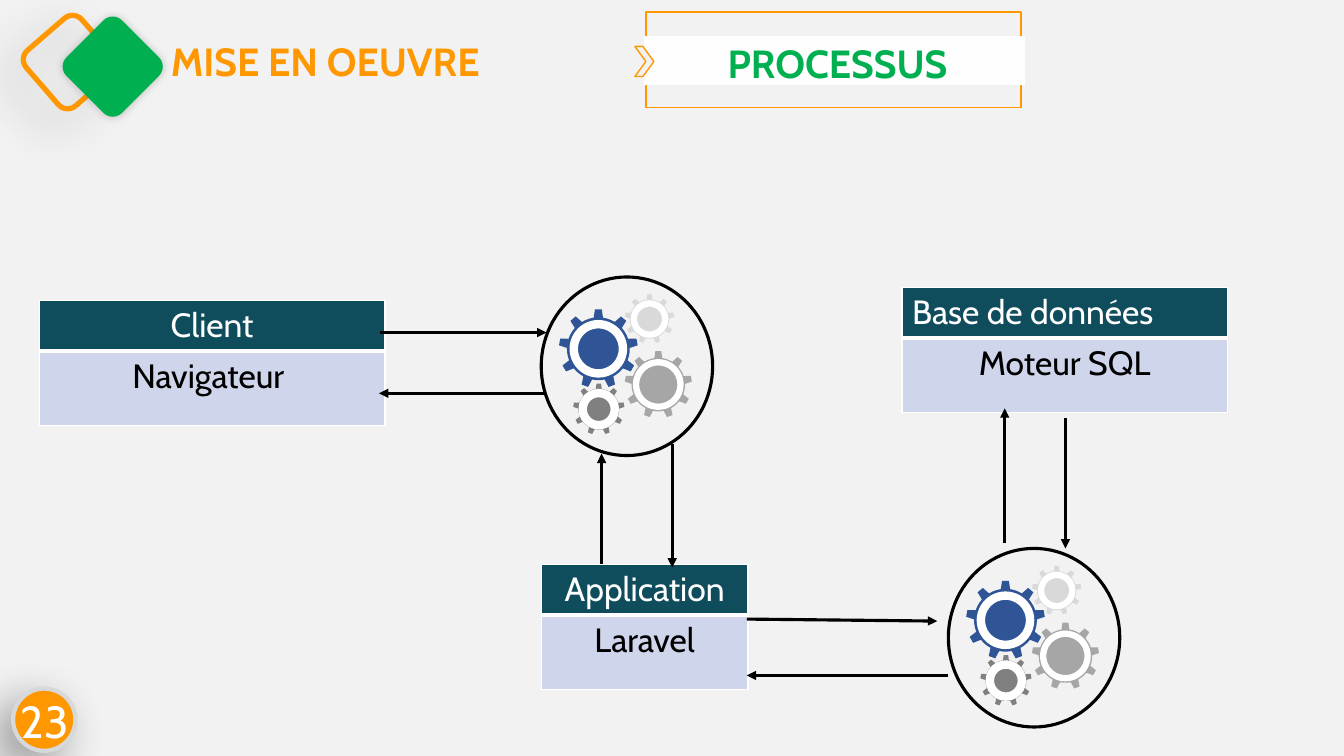
from dataclasses import dataclass
from math import cos, radians, sin

from lxml.etree import SubElement
from pptx import Presentation
from pptx.dml.color import RGBColor
from pptx.enum.shapes import MSO_CONNECTOR, MSO_SHAPE
from pptx.enum.text import PP_ALIGN
from pptx.oxml.ns import qn
from pptx.shapes.autoshape import Shape
from pptx.slide import Slide
from pptx.table import _Cell
from pptx.text.text import TextFrame
from pptx.util import Cm, Pt

BACKGROUND = RGBColor(0xF2, 0xF2, 0xF2)
ORANGE = RGBColor(0xFF, 0x98, 0x00)
GREEN = RGBColor(0x00, 0xB0, 0x50)
WHITE = RGBColor(0xFF, 0xFF, 0xFF)
BANNER_WHITE = RGBColor(0xFE, 0xFE, 0xFE)
BLACK = RGBColor(0x00, 0x00, 0x00)
BADGE_EDGE = RGBColor(0xD7, 0xD8, 0xDA)
TEAL = RGBColor(0x0F, 0x4C, 0x5C)
LAVENDER = RGBColor(0xCF, 0xD5, 0xEA)
BLUE = RGBColor(0x2F, 0x55, 0x97)
GREY = RGBColor(0xA6, 0xA6, 0xA6)
DARK_GREY = RGBColor(0x80, 0x80, 0x80)
LIGHT_GREY = RGBColor(0xD9, 0xD9, 0xD9)

FONT = "Cabin"
HEADER_HEIGHT, BODY_HEIGHT = 1.26, 1.88
RING_WIDTH, RING_HEIGHT = 4.32, 4.5
TEETH = 9
TIP_RATIO, ROOT_RATIO = 0.98, 0.78


@dataclass(frozen=True)
class Shadow:
    opacity: int
    blur: float
    distance: float
    direction: int


@dataclass(frozen=True)
class Gear:
    dx: float
    dy: float
    diameter: float
    hub: float
    hub_line: float
    color: RGBColor


@dataclass(frozen=True)
class Component:
    left: float
    top: float
    width: float
    title: str
    technology: str
    title_align: PP_ALIGN = PP_ALIGN.CENTER


@dataclass(frozen=True)
class Arrow:
    x1: float
    y1: float
    x2: float
    y2: float


DEEP_SHADOW = Shadow(40, 35, 15, 135)
SOFT_SHADOW = Shadow(20, 6, 0, 225)

GEARS = [
    Gear(-0.72, -0.44, 2.03, 1.24, 6, BLUE),
    Gear(0.79, 0.46, 1.73, 1.12, 4.5, GREY),
    Gear(-0.71, 1.08, 1.32, 0.81, 6, DARK_GREY),
    Gear(0.57, -1.19, 1.27, 0.79, 4.5, LIGHT_GREY),
]
RING_CENTERS = [(15.8, 9.23), (26.06, 16.07)]
COMPONENTS = [
    Component(0.99, 7.57, 8.71, "Client", "Navigateur "),
    Component(13.64, 14.22, 5.21, "Application", "Laravel"),
    Component(22.73, 7.24, 8.2, "Base de données", "Moteur SQL", PP_ALIGN.LEFT),
]
ARROWS = [
    Arrow(9.58, 8.38, 13.77, 8.38),
    Arrow(13.74, 9.91, 9.55, 9.91),
    Arrow(15.16, 14.22, 15.16, 11.43),
    Arrow(16.94, 11.2, 16.94, 14.3),
    Arrow(18.82, 15.6, 23.62, 15.65),
    Arrow(23.9, 17.02, 18.82, 17.02),
    Arrow(26.85, 10.54, 26.85, 13.82),
    Arrow(25.32, 13.69, 25.32, 10.29),
]


def write_text(frame: TextFrame, text: str, *, size: float, color: RGBColor,
               bold: bool = False, align: PP_ALIGN = PP_ALIGN.LEFT) -> None:
    frame.word_wrap = True
    paragraph = frame.paragraphs[0]
    paragraph.alignment = align
    run = paragraph.add_run()
    run.text = text
    run.font.name = FONT
    run.font.size = Pt(size)
    run.font.bold = bold
    run.font.color.rgb = color


def add_label(slide: Slide, left: float, top: float, width: float, height: float,
              text: str, **text_format) -> None:
    box = slide.shapes.add_textbox(Cm(left), Cm(top), Cm(width), Cm(height))
    write_text(box.text_frame, text, **text_format)


def style_shape(shape: Shape, fill: RGBColor | None, line: RGBColor | None,
                line_width: float, shadow: Shadow | None = None) -> None:
    shape.shadow.inherit = False
    if fill is None:
        shape.fill.background()
    else:
        shape.fill.solid()
        shape.fill.fore_color.rgb = fill
    if line is None:
        shape.line.fill.background()
    else:
        shape.line.color.rgb = line
        shape.line.width = Pt(line_width)
    if shadow is not None:
        effects = shape._element.spPr.find(qn("a:effectLst"))
        outer = SubElement(effects, qn("a:outerShdw"), blurRad=str(Pt(shadow.blur)),
                           dist=str(Pt(shadow.distance)), dir=str(shadow.direction * 60000),
                           algn="ctr", rotWithShape="0")
        color = SubElement(outer, qn("a:srgbClr"), val=str(BLACK))
        SubElement(color, qn("a:alpha"), val=str(shadow.opacity * 1000))


def add_figure(slide: Slide, kind: MSO_SHAPE, left: float, top: float, width: float,
               height: float, *, fill: RGBColor | None = None, line: RGBColor | None = None,
               line_width: float = 1, rotation: float = 0,
               shadow: Shadow | None = None) -> Shape:
    shape = slide.shapes.add_shape(kind, Cm(left), Cm(top), Cm(width), Cm(height))
    shape.rotation = rotation
    style_shape(shape, fill, line, line_width, shadow)
    return shape


def add_gear(slide: Slide, gear: Gear, ring_x: float, ring_y: float) -> None:
    x, y = ring_x + gear.dx, ring_y + gear.dy
    profile = [(-8.5, ROOT_RATIO), (-5, TIP_RATIO), (5, TIP_RATIO),
               (8.5, ROOT_RATIO), (16, ROOT_RATIO), (24, ROOT_RATIO)]
    points = []
    for tooth in range(TEETH):
        for offset, ratio in profile:
            angle = radians(tooth * 360 / TEETH + offset)
            radius = gear.diameter / 2 * ratio
            points.append((Cm(x + radius * sin(angle)), Cm(y - radius * cos(angle))))
    builder = slide.shapes.build_freeform(*points[0])
    builder.add_line_segments(points[1:], close=True)
    style_shape(builder.convert_to_shape(), gear.color, None, 0)
    add_figure(slide, MSO_SHAPE.OVAL, x - gear.hub / 2, y - gear.hub / 2, gear.hub, gear.hub,
               fill=gear.color, line=WHITE, line_width=gear.hub_line)


def add_ring(slide: Slide, x: float, y: float) -> None:
    for gear in GEARS:
        add_gear(slide, gear, x, y)
    add_figure(slide, MSO_SHAPE.OVAL, x - RING_WIDTH / 2, y - RING_HEIGHT / 2,
               RING_WIDTH, RING_HEIGHT, line=BLACK, line_width=2.25)


def style_cell(cell: _Cell, fill: RGBColor, bottom_width: float) -> None:
    cell.fill.solid()
    cell.fill.fore_color.rgb = fill
    properties = cell._tc.get_or_add_tcPr()
    borders = [("a:lnL", 1), ("a:lnR", 1), ("a:lnT", 1), ("a:lnB", bottom_width)]
    for index, (tag, width) in enumerate(borders):
        border = SubElement(properties, qn(tag), w=str(Pt(width)))
        SubElement(SubElement(border, qn("a:solidFill")), qn("a:srgbClr"), val=str(WHITE))
        properties.insert(index, border)


def add_component(slide: Slide, component: Component) -> None:
    table = slide.shapes.add_table(2, 1, Cm(component.left), Cm(component.top),
                                   Cm(component.width), Cm(HEADER_HEIGHT + BODY_HEIGHT)).table
    table.horz_banding = False
    table.rows[0].height = Cm(HEADER_HEIGHT)
    table.rows[1].height = Cm(BODY_HEIGHT)
    header, body = table.cell(0, 0), table.cell(1, 0)
    style_cell(header, TEAL, 3)
    style_cell(body, LAVENDER, 1)
    write_text(header.text_frame, component.title, size=24, color=WHITE,
               align=component.title_align)
    write_text(body.text_frame, component.technology, size=24, color=BLACK,
               align=PP_ALIGN.CENTER)


def add_arrow(slide: Slide, arrow: Arrow) -> None:
    connector = slide.shapes.add_connector(MSO_CONNECTOR.STRAIGHT, Cm(arrow.x1), Cm(arrow.y1),
                                           Cm(arrow.x2), Cm(arrow.y2))
    connector.line.color.rgb = BLACK
    connector.line.width = Pt(2.25)
    SubElement(connector.line._get_or_add_ln(), qn("a:tailEnd"), type="triangle")
    SubElement(connector._element.spPr, qn("a:effectLst"))


def add_heading(slide: Slide) -> None:
    add_figure(slide, MSO_SHAPE.ROUNDED_RECTANGLE, 0.84, 0.64, 1.85, 1.85, line=ORANGE,
               line_width=3.75, rotation=49.1, shadow=DEEP_SHADOW)
    add_figure(slide, MSO_SHAPE.ROUNDED_RECTANGLE, 1.85, 0.69, 1.98, 1.98, fill=GREEN,
               rotation=45, shadow=SOFT_SHADOW)
    add_label(slide, 4.06, 0.81, 14.17, 1.47, "MISE EN OEUVRE", size=28, color=ORANGE, bold=True)
    add_figure(slide, MSO_SHAPE.RECTANGLE, 16.28, 0.3, 9.45, 2.41, line=ORANGE)
    add_figure(slide, MSO_SHAPE.RECTANGLE, 16.23, 0.91, 9.6, 1.24, fill=BANNER_WHITE)
    chevron = add_figure(slide, MSO_SHAPE.CHEVRON, 16, 1.17, 0.48, 0.76,
                         fill=BACKGROUND, line=ORANGE)
    chevron.adjustments[0] = 0.58
    add_label(slide, 16.51, 0.86, 9.19, 1.45, "PROCESSUS", size=28, color=GREEN, bold=True,
              align=PP_ALIGN.CENTER)


def add_page_badge(slide: Slide) -> None:
    add_figure(slide, MSO_SHAPE.OVAL, 0.33, 17.35, 1.57, 1.57, fill=ORANGE, line=BADGE_EDGE,
               line_width=3, rotation=158, shadow=DEEP_SHADOW)
    add_label(slide, 0.28, 17.35, 1.88, 1.63, "23", size=32, color=WHITE)


def main() -> None:
    presentation = Presentation()
    presentation.slide_width = Cm(33.87)
    presentation.slide_height = Cm(19.05)
    slide = presentation.slides.add_slide(presentation.slide_layouts[6])
    slide.background.fill.solid()
    slide.background.fill.fore_color.rgb = BACKGROUND
    add_heading(slide)
    add_page_badge(slide)
    for component in COMPONENTS:
        add_component(slide, component)
    for x, y in RING_CENTERS:
        add_ring(slide, x, y)
    for arrow in ARROWS:
        add_arrow(slide, arrow)
    presentation.save("out.pptx")


if __name__ == "__main__":
    main()
